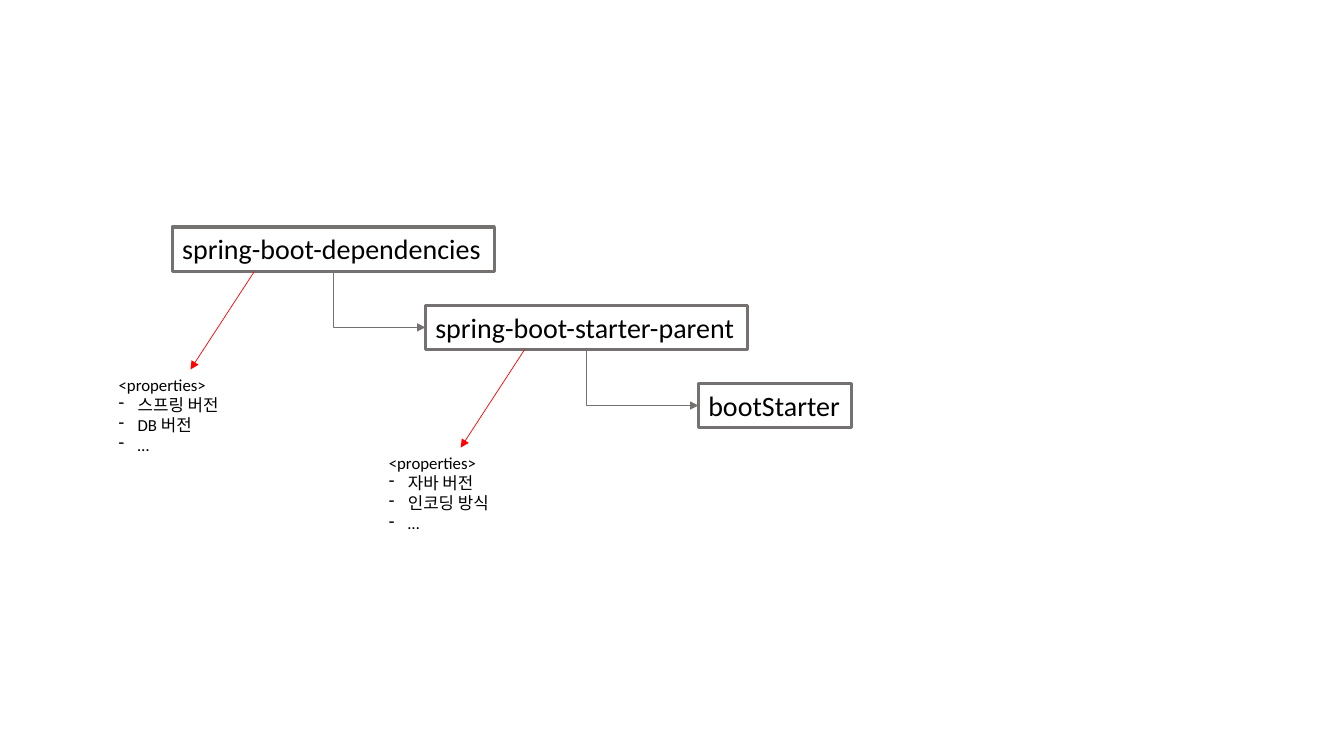
from dataclasses import dataclass

from lxml.etree import SubElement
from pptx import Presentation
from pptx.dml.color import RGBColor
from pptx.enum.shapes import MSO_CONNECTOR
from pptx.enum.text import MSO_AUTO_SIZE
from pptx.oxml.ns import qn
from pptx.util import Cm, Pt

# Name, left and width in cm, then left and items of its properties note
MODULES = [
    ("spring-boot-dependencies", 4.34, 8.12, (2.74, ["스프링 버전", "DB 버전", "…"])),
    ("spring-boot-starter-parent", 10.72, 8.12, (9.55, ["자바 버전", "인코딩 방식", "…"])),
    ("bootStarter", 17.6, 3.86, None),
]
NOTE_HEADING = "<properties>"

FIRST_TOP = Cm(5.72)
STEP = Cm(1.97)
BOX_HEIGHT = Cm(1.12)
NOTE_WIDTH, NOTE_HEIGHT = Cm(3.23), Cm(2.31)
NOTE_DROP = Cm(2.47)
ARROW_INSET = Cm(2.06)
ARROW_SLANT = Cm(1.61)
BULLET_INDENT = Cm(0.48)


@dataclass(frozen=True)
class Theme:
    font: str = "Calibri"
    text: RGBColor = RGBColor(0, 0, 0)
    outline: RGBColor = RGBColor(0x76, 0x71, 0x71)
    note_arrow: RGBColor = RGBColor(0xFF, 0, 0)
    box_size: Pt = Pt(20)
    note_size: Pt = Pt(12)
    box_line: Pt = Pt(2.25)
    arrow_line: Pt = Pt(0.5)


THEME = Theme()


def add_run(paragraph, text, size):
    run = paragraph.add_run()
    run.text = text
    run.font.name = THEME.font
    run.font.size = size
    run.font.color.rgb = THEME.text


def add_text_box(slide, left, top, width, height):
    shape = slide.shapes.add_textbox(left, top, width, height)
    shape.text_frame.word_wrap = False
    shape.text_frame.auto_size = MSO_AUTO_SIZE.SHAPE_TO_FIT_TEXT
    return shape


def add_module(slide, name, left, top, width):
    box = add_text_box(slide, left, top, width, BOX_HEIGHT)
    box.line.color.rgb = THEME.outline
    box.line.width = THEME.box_line
    add_run(box.text_frame.paragraphs[0], name, THEME.box_size)
    return box


def add_dash(paragraph):
    properties = paragraph._p.get_or_add_pPr()
    properties.set("marL", str(BULLET_INDENT))
    properties.set("indent", str(-BULLET_INDENT))
    SubElement(properties, qn("a:buFontTx"))
    SubElement(properties, qn("a:buChar"), char="-")


def add_note(slide, left, top, items):
    note = add_text_box(slide, left, top, NOTE_WIDTH, NOTE_HEIGHT)
    add_run(note.text_frame.paragraphs[0], NOTE_HEADING, THEME.note_size)
    for item in items:
        paragraph = note.text_frame.add_paragraph()
        add_dash(paragraph)
        add_run(paragraph, item, THEME.note_size)
    return note


def style_arrow(connector, color):
    connector.line.color.rgb = color
    connector.line.width = THEME.arrow_line
    SubElement(connector.line._get_or_add_ln(), qn("a:tailEnd"), type="triangle")
    SubElement(connector._element.spPr, qn("a:effectLst"))


def add_child_arrow(slide, parent, child):
    """Run down from the parent's bottom, then right to the child's left side."""
    connector = slide.shapes.add_connector(MSO_CONNECTOR.ELBOW, 0, 0, 0, 0)
    connector.begin_connect(parent, 2)
    connector.end_connect(child, 1)
    start_x, start_y = parent.left + parent.width // 2, parent.top + parent.height
    run, drop = child.left - start_x, child.top + child.height // 2 - start_y
    # The one-bend preset goes across first, so its frame is mirrored and turned
    connector.left = start_x + (run - drop) // 2
    connector.top = start_y + (drop - run) // 2
    connector.width, connector.height = drop, run
    properties = connector._element.spPr
    frame = properties.find(qn("a:xfrm"))
    frame.set("rot", str(270 * 60000))
    frame.set("flipH", "1")
    properties.find(qn("a:prstGeom")).set("prst", "bentConnector2")
    style_arrow(connector, THEME.outline)


def add_note_arrow(slide, box, note):
    end_x = note.left + ARROW_INSET
    connector = slide.shapes.add_connector(
        MSO_CONNECTOR.STRAIGHT, end_x + ARROW_SLANT, box.top + box.height, end_x, note.top)
    style_arrow(connector, THEME.note_arrow)


def main():
    presentation = Presentation()
    presentation.slide_width, presentation.slide_height = Cm(33.87), Cm(19.05)
    slide = presentation.slides.add_slide(presentation.slide_layouts[6])

    parent = None
    for index, (name, left, width, properties) in enumerate(MODULES):
        box = add_module(slide, name, Cm(left), FIRST_TOP + index * STEP, Cm(width))
        if parent is not None:
            add_child_arrow(slide, parent, box)
        if properties:
            note_left, items = properties
            note = add_note(slide, Cm(note_left), box.top + box.height + NOTE_DROP, items)
            add_note_arrow(slide, box, note)
        parent = box

    presentation.save("out.pptx")


if __name__ == "__main__":
    main()
